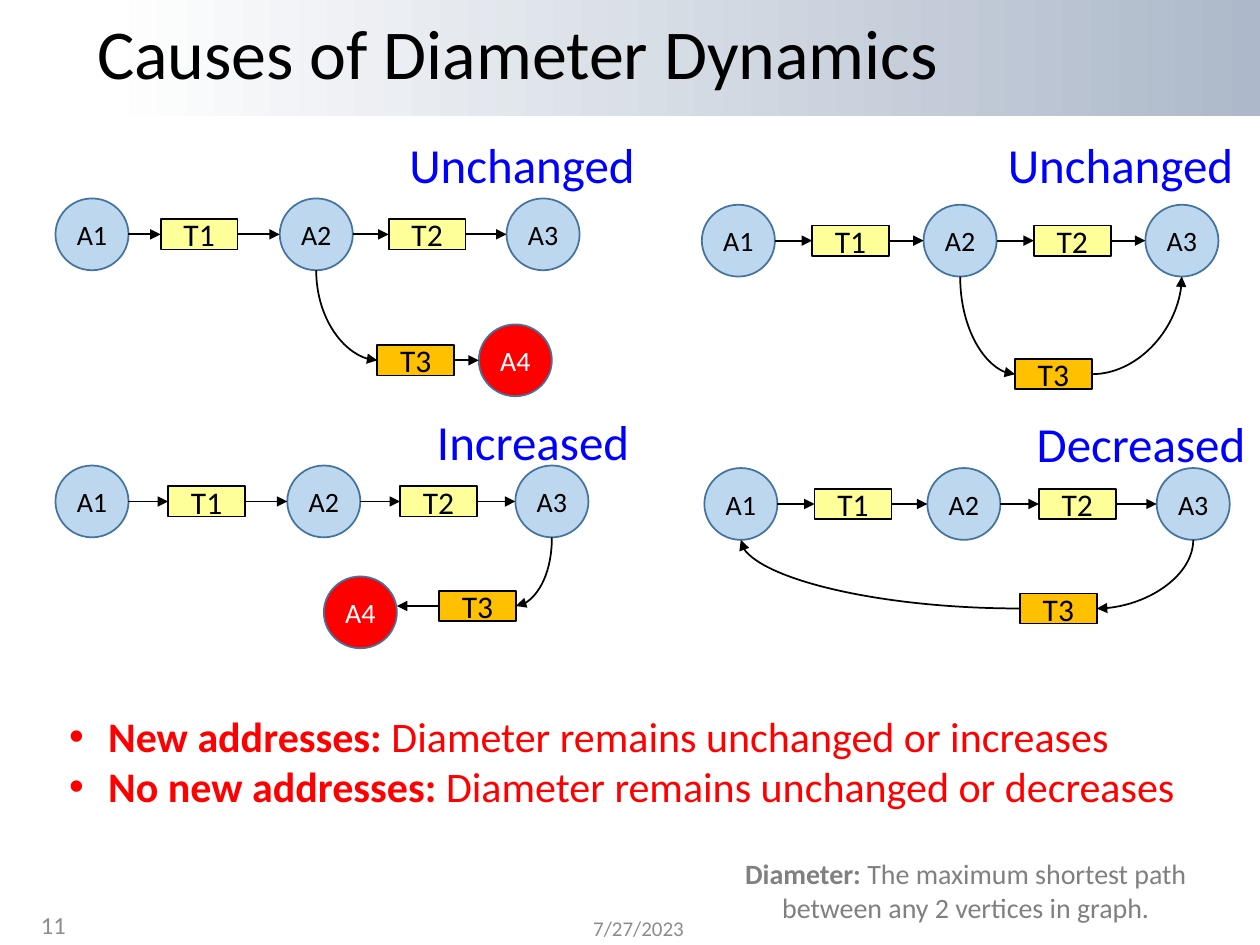
"""Build the slide on causes of diameter dynamics in transaction graphs."""
from dataclasses import dataclass
from itertools import pairwise
from typing import Optional

from lxml.etree import SubElement
from pptx import Presentation
from pptx.dml.color import RGBColor
from pptx.enum.shapes import MSO_CONNECTOR, MSO_SHAPE
from pptx.enum.text import MSO_ANCHOR, MSO_AUTO_SIZE, PP_ALIGN
from pptx.oxml.ns import qn
from pptx.util import Inches, Pt

FONT = "Calibri"
BLACK = RGBColor(0x00, 0x00, 0x00)
WHITE = RGBColor(0xFF, 0xFF, 0xFF)
BLUE = RGBColor(0x00, 0x00, 0xFF)
RED = RGBColor(0xFF, 0x00, 0x00)
YELLOW = RGBColor(0xFF, 0xFF, 0x00)
ORANGE = RGBColor(0xFF, 0xC0, 0x00)
PALE_BLUE = RGBColor(0xBD, 0xD7, 0xEE)
OUTLINE = RGBColor(0x43, 0x73, 0x9E)
BAND = RGBColor(0xAD, 0xB9, 0xCA)
GREY = RGBColor(0x80, 0x80, 0x80)
FOOTER = RGBColor(0x8C, 0x8C, 0x8C)

Point = tuple[float, float]


@dataclass
class Node:
    x: float
    y: float
    w: float
    h: float

    def left(self) -> Point:
        return self.x - self.w / 2, self.y

    def right(self) -> Point:
        return self.x + self.w / 2, self.y

    def bottom(self) -> Point:
        return self.x, self.y + self.h / 2


@dataclass
class Diagram:
    caption: str
    caption_box: tuple[float, float, float]
    axis: float
    addresses: tuple[float, float, float]
    transactions: tuple[float, float]
    source: int
    t3: Point
    target: Optional[int] = None
    a4: Optional[Point] = None


DIAGRAMS = [
    Diagram("Unchanged", (3.15, 1.02, 2.01), 1.86, (0.73, 2.51, 4.31), (1.58, 3.39),
            source=1, t3=(3.3, 2.86), a4=(4.09, 2.86)),
    Diagram("Unchanged", (7.9, 1.02, 2.01), 1.91, (5.86, 7.62, 9.38), (6.75, 8.51),
            source=1, t3=(8.36, 2.97), target=2),
    Diagram("Increased", (3.37, 3.22, 1.74), 3.98, (0.73, 2.57, 4.38), (1.64, 3.48),
            source=2, t3=(3.79, 4.81), a4=(2.86, 4.86)),
    Diagram("Decreased", (8.13, 3.23, 1.87), 4.0, (5.88, 7.65, 9.47), (6.77, 8.55),
            source=2, t3=(8.4, 4.83), target=0),
]


def set_font(p, size: float, color: RGBColor) -> None:
    p.font.name, p.font.size, p.font.color.rgb = FONT, Pt(size), color


def add_text(slide, box, runs, size: float, color: RGBColor, align=PP_ALIGN.LEFT,
             anchor=MSO_ANCHOR.TOP, wrap: bool = True):
    tf = slide.shapes.add_textbox(*map(Inches, box)).text_frame
    tf.word_wrap, tf.vertical_anchor = wrap, anchor
    p = tf.paragraphs[0]
    p.alignment = align
    add_runs(p, runs, size, color)
    return tf


def add_runs(p, runs, size: float, color: RGBColor) -> None:
    set_font(p, size, color)
    for text, bold in runs:
        r = p.add_run()
        r.text, r.font.bold = text, bold


def add_node(slide, kind, node: Node, label: str, fill: RGBColor, line: RGBColor,
             size: float, color: RGBColor):
    sp = slide.shapes.add_shape(kind, Inches(node.x - node.w / 2), Inches(node.y - node.h / 2),
                                Inches(node.w), Inches(node.h))
    sp.shadow.inherit = False
    sp.fill.solid()
    sp.fill.fore_color.rgb = fill
    sp.line.color.rgb, sp.line.width = line, Pt(1)
    tf = sp.text_frame
    tf.vertical_anchor = MSO_ANCHOR.MIDDLE
    p = tf.paragraphs[0]
    p.text, p.alignment = label, PP_ALIGN.CENTER
    set_font(p, size, color)
    return sp


def add_address(slide, label: str, x: float, y: float, fill=PALE_BLUE, color=BLACK) -> Node:
    node = Node(x, y, 0.58, 0.57)
    sp = add_node(slide, MSO_SHAPE.OVAL, node, label, fill, OUTLINE, 16, color)
    sp.text_frame.margin_left = sp.text_frame.margin_right = 0
    return node


def add_transaction(slide, label: str, x: float, y: float, fill=YELLOW) -> Node:
    node = Node(x, y, 0.61, 0.24)
    sp = add_node(slide, MSO_SHAPE.RECTANGLE, node, label, fill, BLACK, 18, BLACK)
    if fill == YELLOW:
        clr = sp._element.spPr.find(qn("a:solidFill"))[0]
        SubElement(clr, qn("a:alpha"), val="40000")
    return node


def add_arrow(slide, start: Point, end: Point, kind=MSO_CONNECTOR.STRAIGHT):
    cxn = slide.shapes.add_connector(kind, *map(Inches, start + end))
    cxn.line.color.rgb, cxn.line.width = BLACK, Pt(1)
    SubElement(cxn.line._get_or_add_ln(), qn("a:tailEnd"), type="triangle")
    SubElement(cxn._element.spPr, qn("a:effectLst"))
    return cxn


def add_curve(slide, start: Point, end: Point, vertical_first: bool) -> None:
    (x1, y1), (x2, y2) = start, end
    rotation = 0
    if vertical_first:
        cx, cy = (x1 + x2) / 2, (y1 + y2) / 2
        half_w, half_h = (y2 - y1) / 2, abs(x2 - x1) / 2
        sign, rotation = (-1, 270) if x2 > x1 else (1, 90)
        start = cx - sign * half_w, cy - half_h
        end = cx + sign * half_w, cy + half_h
    cxn = add_arrow(slide, start, end, MSO_CONNECTOR.CURVE)
    sp_pr = cxn._element.spPr
    sp_pr.find(qn("a:prstGeom")).set("prst", "curvedConnector2")
    if rotation:
        sp_pr.find(qn("a:xfrm")).set("rot", str(rotation * 60000))


def add_diagram(slide, d: Diagram) -> None:
    addresses = [add_address(slide, f"A{i}", x, d.axis) for i, x in enumerate(d.addresses, 1)]
    steps = [add_transaction(slide, f"T{i}", x, d.axis) for i, x in enumerate(d.transactions, 1)]
    chain = sorted(addresses + steps, key=lambda node: node.x)
    for a, b in pairwise(chain):
        add_arrow(slide, a.right(), b.left())
    t3 = add_transaction(slide, "T3", *d.t3, fill=ORANGE)
    source = addresses[d.source]
    forward = t3.x > source.x
    entry, leave = (t3.left(), t3.right()) if forward else (t3.right(), t3.left())
    add_curve(slide, source.bottom(), entry, vertical_first=True)
    if d.a4:
        a4 = add_address(slide, "A4", *d.a4, fill=RED, color=WHITE)
        side = a4.left() if forward else a4.right()
        add_arrow(slide, leave, (side[0], t3.y))
    else:
        add_curve(slide, leave, addresses[d.target].bottom(), vertical_first=False)
    add_text(slide, (*d.caption_box, 0.57), [(d.caption, False)], 28, BLUE, wrap=False)


def add_title(slide) -> None:
    band = slide.shapes.add_shape(MSO_SHAPE.RECTANGLE, 0, 0, Inches(10), Inches(0.92))
    band.shadow.inherit = False
    band.line.fill.background()
    band.fill.gradient()
    band.fill.gradient_angle = 180
    for stop, color, position in zip(band.fill.gradient_stops, (BAND, WHITE), (0, 0.92)):
        stop.color.rgb, stop.position = color, position
    slide.shapes._spTree.insert(2, band._element)
    title = slide.shapes.title
    title.left, title.top, title.width, title.height = map(Inches, (0.67, 0.08, 9, 0.75))
    tf = title.text_frame
    tf.auto_size, tf.vertical_anchor = MSO_AUTO_SIZE.NONE, MSO_ANCHOR.MIDDLE
    p = tf.paragraphs[0]
    p.text, p.alignment, p.line_spacing = "Causes of Diameter Dynamics", PP_ALIGN.LEFT, 0.9
    set_font(p, 40, BLACK)


def add_findings(slide) -> None:
    findings = [("New addresses:", " Diameter remains unchanged or increases"),
                ("No new addresses:", " Diameter remains unchanged or decreases")]
    tf = slide.shapes.add_textbox(*map(Inches, (0.45, 5.59, 9.31, 0.91))).text_frame
    tf.word_wrap = True
    for i, (head, rest) in enumerate(findings):
        p = tf.add_paragraph() if i else tf.paragraphs[0]
        p_pr = p._p.get_or_add_pPr()
        p_pr.set("marL", str(Inches(0.31)))
        p_pr.set("indent", str(Inches(-0.31)))
        SubElement(p_pr, qn("a:buFont"), typeface="Arial")
        SubElement(p_pr, qn("a:buChar"), char="•")
        add_runs(p, [(head, True), (rest, False)], 24, RED)


def main() -> None:
    prs = Presentation()
    prs.slide_width, prs.slide_height = Inches(10), Inches(7.5)
    slide = prs.slides.add_slide(prs.slide_layouts[5])
    add_title(slide)
    for d in DIAGRAMS:
        add_diagram(slide, d)
    add_findings(slide)
    definition = [("Diameter: ", True),
                  ("The maximum shortest path between any 2 vertices in graph.", False)]
    add_text(slide, (5.67, 6.75, 3.99, 0.64), definition, 16, GREY, PP_ALIGN.CENTER)
    add_text(slide, (0, 7.14, 0.62, 0.4), [("11", False)], 14, FOOTER, PP_ALIGN.RIGHT,
             MSO_ANCHOR.MIDDLE)
    add_text(slide, (4.61, 7.17, 1.01, 0.4), [("7/27/2023", False)], 12, FOOTER,
             anchor=MSO_ANCHOR.MIDDLE)
    prs.save("out.pptx")


if __name__ == "__main__":
    main()
